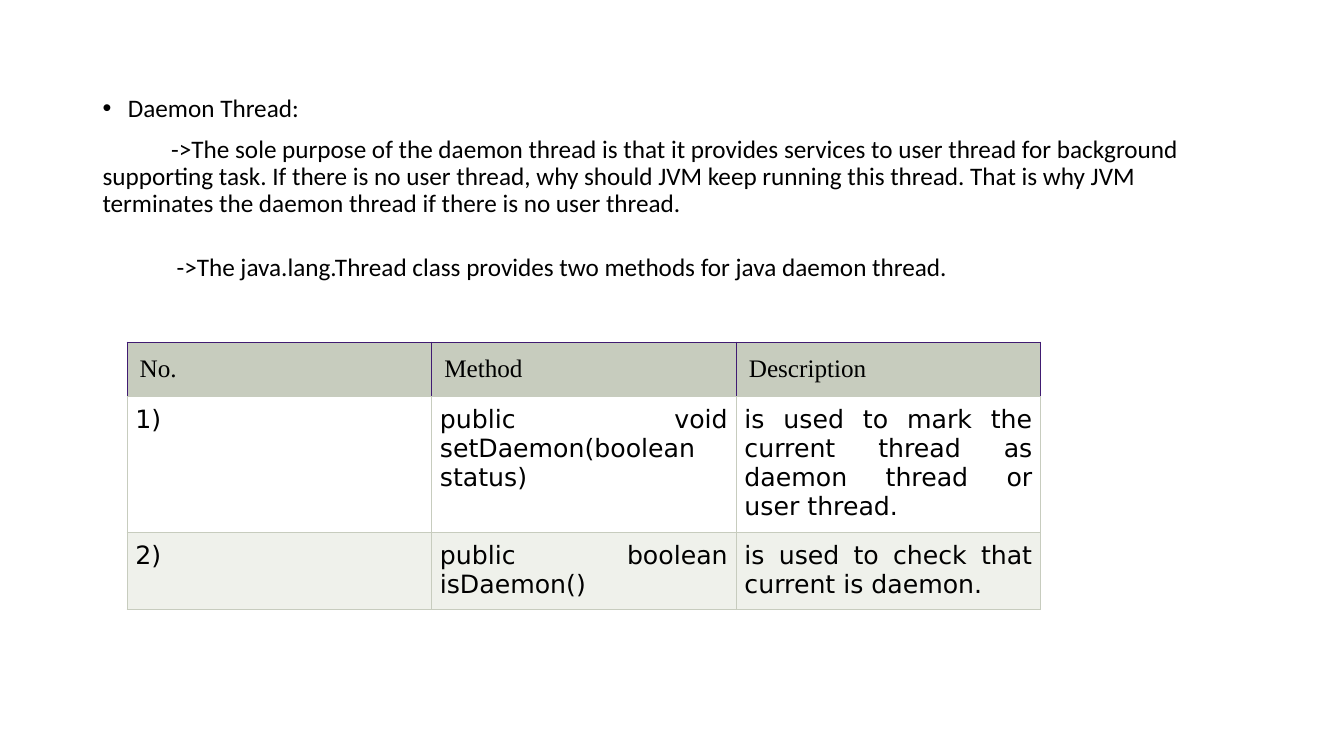
from lxml import etree
from pptx import Presentation
from pptx import util as u
from pptx.dml.color import RGBColor
from pptx.enum import text
from pptx.oxml import ns

Cm, Pt = u.Cm, u.Pt
HUES = {"ink": "000000", "head": "C7CCBE", "edge": "401B72",
        "plain": "FFFFFF", "band": "EFF1EB"}
INTRO = "Daemon Thread:"
PURPOSE = ("->The sole purpose of the daemon thread is that it provides services "
           "to user thread for background supporting task. If there is no user "
           "thread, why should JVM keep running this thread. That is why JVM "
           "terminates the daemon thread if there is no user thread.")
CLASS = "->The java.lang.Thread class provides two methods for java daemon thread."
ROWS = [
    ("No.", "Method", "Description"),
    ("1)", "public void setDaemon(boolean status)",
     "is used to mark the current thread as daemon thread or user thread."),
    ("2)", "public boolean isDaemon()", "is used to check that current is daemon."),
]
HEIGHTS = (1.37, 3.43, 1.93)


def hue(name):
    return RGBColor.from_string(HUES[name])


def style(para, font):
    for run in para.runs:
        run.font.name = font
        run.font.size = Pt(18)
        run.font.color.rgb = hue("ink")


def indent(para, left, first, mark=None):
    """Set the left margin and first-line indent in cm, and the bullet."""
    props = para._p.get_or_add_pPr()
    props.set("marL", str(Cm(left)))
    props.set("indent", str(Cm(first)))
    if mark:
        face = etree.SubElement(props, ns.qn("a:buFont"))
        face.set("typeface", "Arial")
        etree.SubElement(props, ns.qn("a:buChar")).set("char", mark)
    else:
        etree.SubElement(props, ns.qn("a:buNone"))


def add_body(slide, left, top, width, height):
    body = slide.placeholders[1]
    body.left, body.top, body.width, body.height = map(Cm, (left, top, width, height))
    frame = body.text_frame
    frame.auto_size = text.MSO_AUTO_SIZE.NONE
    frame.text = INTRO + "\n" + PURPOSE
    for para in frame.paragraphs:
        para.line_spacing = 0.9
        para.space_before = Pt(10)
        style(para, "Calibri")
    intro, purpose = frame.paragraphs
    indent(intro, 0.64, -0.64, "•")
    indent(purpose, 0, 1.73)


def add_note(slide, left, top, width, height):
    frame = slide.shapes.add_textbox(*map(Cm, (left, top, width, height))).text_frame
    frame.word_wrap = True
    frame.margin_top = Cm(0.18)
    frame.text = CLASS
    para = frame.paragraphs[0]
    style(para, "Calibri")
    indent(para, 0, 1.87)


def add_edges(cell, names):
    """Draw the left, right, top and bottom borders in the named colours."""
    props = cell._tc.get_or_add_tcPr()
    for spot, (side, name) in enumerate(zip("LRTB", names)):
        line = etree.Element(ns.qn("a:ln" + side), w=str(Pt(0.75)))
        fill = etree.SubElement(line, ns.qn("a:solidFill"))
        etree.SubElement(fill, ns.qn("a:srgbClr")).set("val", HUES[name])
        props.insert(spot, line)


def fill_cell(cell, words, row):
    head = row == 0
    cell.text = words
    para = cell.text_frame.paragraphs[0]
    style(para, "Times New Roman" if head else "DejaVu Sans")
    if not head:
        para.alignment = text.PP_ALIGN.JUSTIFY
    pad = Cm(0.32 if head else 0.21)
    cell.margin_left = cell.margin_right = pad
    cell.margin_top = cell.margin_bottom = pad
    cell.fill.solid()
    cell.fill.fore_color.rgb = hue(("head", "plain", "band")[row])
    add_edges(cell, ["edge" if head else "head"] * 3 + ["head"])


def add_methods(slide, left, top, width):
    count = len(ROWS[0])
    box = map(Cm, (left, top, width, sum(HEIGHTS)))
    table = slide.shapes.add_table(len(ROWS), count, *box).table
    for col in table.columns:
        col.width = Cm(width / count)
    for row, (high, line) in enumerate(zip(HEIGHTS, ROWS)):
        table.rows[row].height = Cm(high)
        for col, words in enumerate(line):
            fill_cell(table.cell(row, col), words, row)


def main():
    deck = Presentation()
    deck.slide_width, deck.slide_height = Cm(33.87), Cm(19.05)
    slide = deck.slides.add_slide(deck.slide_layouts[1])
    title = slide.shapes.title.element
    title.getparent().remove(title)
    add_body(slide, 2.33, 2.28, 29.21, 14.87)
    add_methods(slide, 3.2, 8.62, 23.03)
    add_note(slide, 2.33, 6.15, 23.08, 2.56)
    deck.save("out.pptx")


if __name__ == "__main__":
    main()
